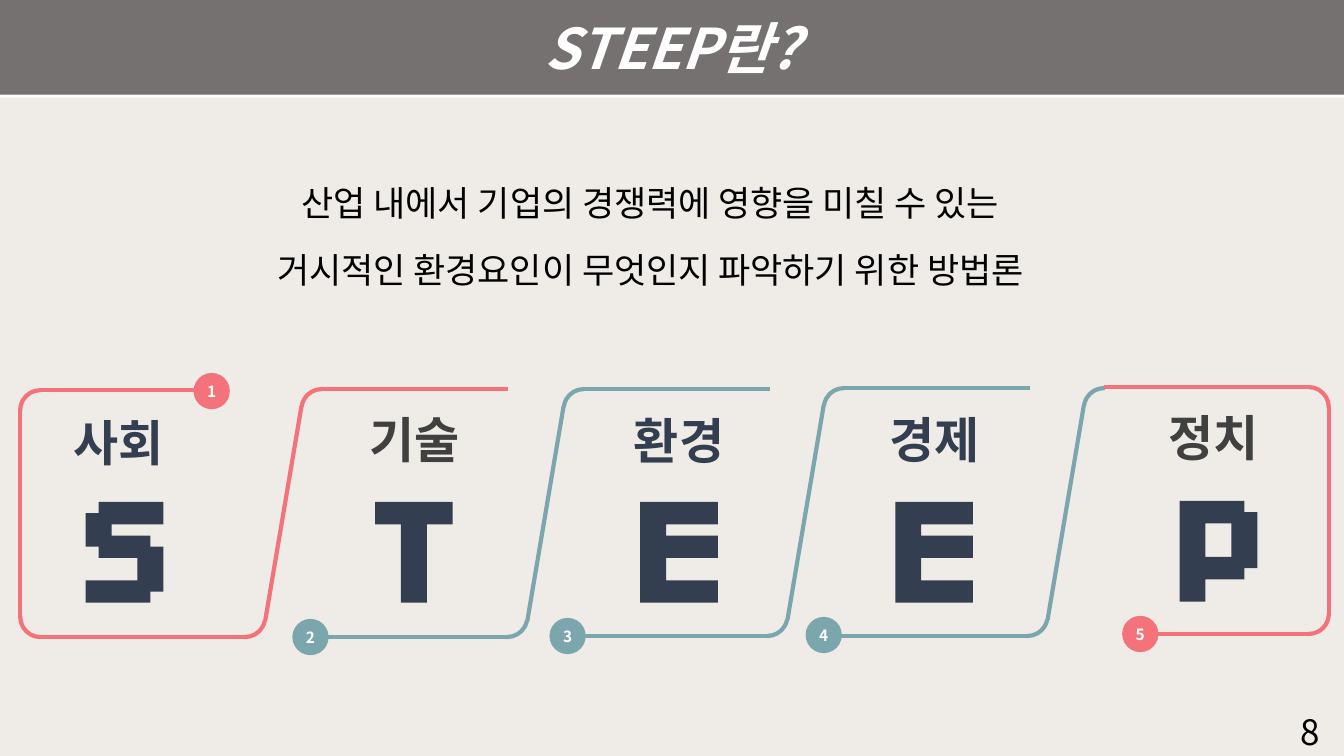
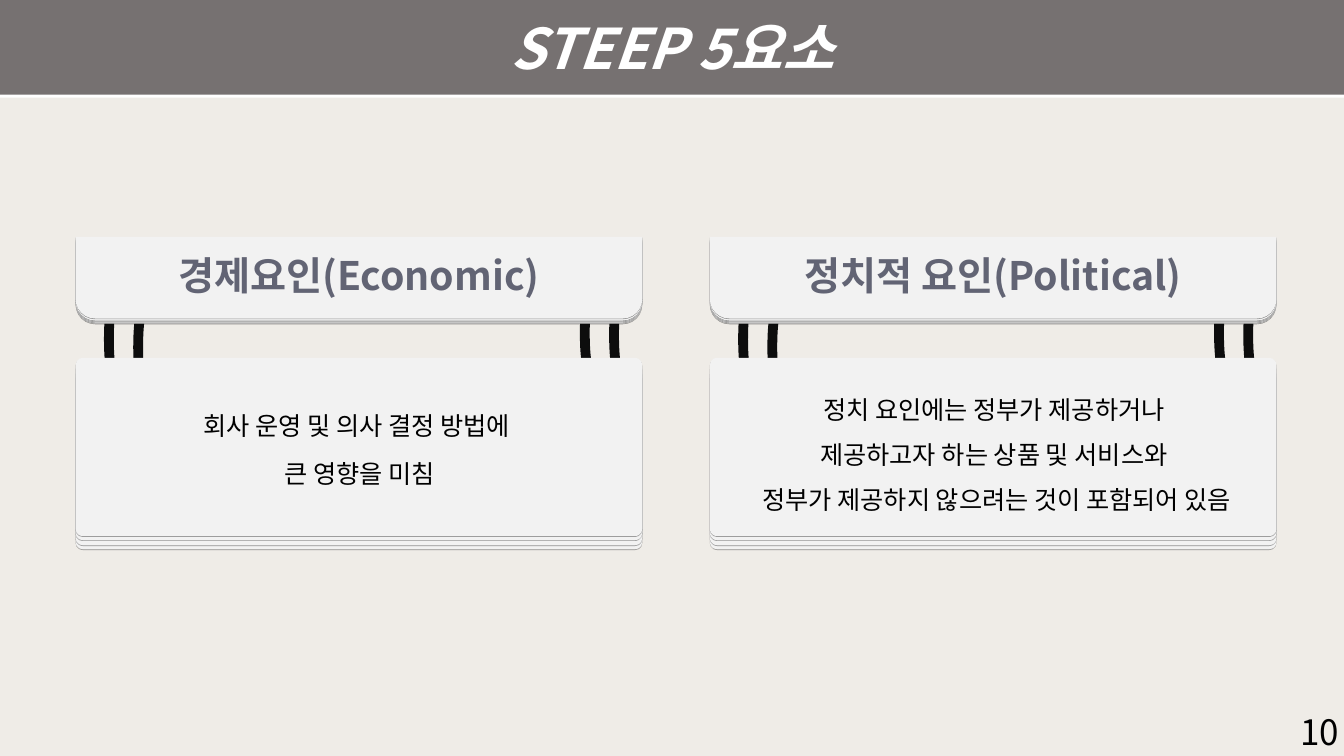
import lxml.etree
import pptx
import pptx.dml.color
import pptx.enum.shapes
import pptx.enum.text
import pptx.oxml.ns
import pptx.util

Inches = pptx.util.Inches
Pt = pptx.util.Pt
RGBColor = pptx.dml.color.RGBColor
Preset = pptx.enum.shapes.MSO_SHAPE
Align = pptx.enum.text.PP_ALIGN
Anchor = pptx.enum.text.MSO_ANCHOR
qn = pptx.oxml.ns.qn

BACKGROUND = RGBColor(0xEF, 0xEC, 0xE7)
BAND = RGBColor(0x76, 0x71, 0x71)
WHITE = RGBColor(0xFF, 0xFF, 0xFF)
BLACK = RGBColor(0x00, 0x00, 0x00)
CORAL = RGBColor(0xF4, 0x72, 0x79)
TEAL = RGBColor(0x7C, 0xA6, 0xAD)
NAVY = RGBColor(0x33, 0x3F, 0x50)
CHARCOAL = RGBColor(0x40, 0x40, 0x40)
CARD = RGBColor(0xF2, 0xF2, 0xF2)
CARD_TITLE = RGBColor(0x62, 0x64, 0x74)
HOOK = RGBColor(0x0D, 0x0D, 0x0D)

FONT = "Noto Sans CJK KR"
TITLE_STYLE = {"size": Pt(40), "bold": True, "italic": True}
BADGE_STYLE = {"size": Pt(11), "bold": True}
LABEL_STYLE = {"size": Pt(35), "bold": True}
CARD_TITLE_STYLE = {"size": Pt(28), "bold": True}
LARGE_STYLE = {"size": Pt(25)}
BODY_STYLE = {"size": Pt(18)}

CORNER_SIZE = 0.4
BADGE_SIZE = 0.36
CARD_WIDTH = 5.62

# Letter outlines on a grid of 6 columns and 9 rows
LETTER_WIDTH, LETTER_HEIGHT = 0.77, 1
LETTERS = {
    "S": [[(6, 2), (2, 2), (2, 3), (5, 3), (5, 4), (6, 4), (6, 8), (5, 8), (5, 9), (0, 9),
           (0, 7), (4, 7), (4, 5), (1, 5), (1, 4), (0, 4), (0, 1), (1, 1), (1, 0), (6, 0)]],
    "T": [[(0, 0), (6, 0), (6, 2), (4, 2), (4, 9), (2, 9), (2, 2), (0, 2)]],
    "E": [[(6, 2), (2, 2), (2, 3), (6, 3), (6, 5), (2, 5), (2, 7), (6, 7), (6, 9), (0, 9),
           (0, 0), (6, 0)]],
    "P": [[(5, 1), (6, 1), (6, 6), (5, 6), (5, 7), (2, 7), (2, 9), (0, 9), (0, 0), (5, 0)],
          [(4, 5), (4, 2), (2, 2), (2, 5)]],
}


def write_text(shape, lines, style, color, align=Align.CENTER, spacing=None,
               anchor=Anchor.MIDDLE):
    frame = shape.text_frame
    frame.word_wrap = True
    frame.vertical_anchor = anchor
    for index, line in enumerate(lines):
        paragraph = frame.paragraphs[0] if index == 0 else frame.add_paragraph()
        paragraph.alignment = align
        paragraph.line_spacing = spacing
        run = paragraph.add_run()
        run.text = line
        for name, value in style.items():
            setattr(run.font, name, value)
        run.font.color.rgb = color
        run.font.name = FONT
        properties = run._r.get_or_add_rPr()
        lxml.etree.SubElement(properties, qn("a:ea"), typeface=FONT)


def add_text(slide, left, top, width, height, lines, style, color=BLACK, **layout):
    box = slide.shapes.add_textbox(Inches(left), Inches(top), Inches(width), Inches(height))
    write_text(box, lines, style, color, **layout)


def paint(shape, color):
    shape.shadow.inherit = False
    shape.fill.solid()
    shape.fill.fore_color.rgb = color
    shape.line.fill.background()


def add_preset(slide, preset, left, top, width, height, adjustments=()):
    shape = slide.shapes.add_shape(
        preset, Inches(left), Inches(top), Inches(width), Inches(height))
    for index, value in enumerate(adjustments):
        shape.adjustments[index] = value
    return shape


def add_filled(slide, preset, left, top, width, height, color, adjustments=()):
    shape = add_preset(slide, preset, left, top, width, height, adjustments)
    paint(shape, color)
    return shape


def drop_shadow(shape, color, opacity, distance):
    """Cast a sharp shadow straight down; opacity is a percentage."""
    effects = shape._element.spPr.find(qn("a:effectLst"))
    shadow = lxml.etree.SubElement(
        effects, qn("a:outerShdw"), blurRad="0", dist=str(Pt(distance)),
        dir="5400000", algn="t", rotWithShape="0")
    tone = lxml.etree.SubElement(shadow, qn("a:srgbClr"), val=str(color))
    lxml.etree.SubElement(tone, qn("a:alpha"), val=str(opacity * 1000))


def add_arc(slide, left, top, width, height, color, weight, adjustments, rotation=0):
    arc = add_preset(slide, Preset.ARC, left, top, width, height, adjustments)
    arc.rotation = rotation
    arc.shadow.inherit = False
    arc.fill.background()
    arc.line.color.rgb = color
    arc.line.width = Pt(weight)


def add_corner(slide, left, top, color, rotation, adjustments=(162, 1.17)):
    add_arc(slide, left, top, CORNER_SIZE, CORNER_SIZE, color, 3, adjustments, rotation)


def add_line(slide, start, end, color):
    line = slide.shapes.add_connector(
        pptx.enum.shapes.MSO_CONNECTOR.STRAIGHT,
        *(Inches(value) for value in (*start, *end)))
    line.line.color.rgb = color
    line.line.width = Pt(3)
    lxml.etree.SubElement(line._element.spPr, qn("a:effectLst"))


def add_slanted_border(slide, left, bottom, color, with_top=True):
    """Join a bottom edge ending at left to the next top edge by a slant."""
    top = bottom - 2.46
    next_left = left + 0.56
    add_line(slide, (left - 2.03, bottom), (left, bottom), color)
    add_corner(slide, left - 0.2, bottom - CORNER_SIZE, color, 90, (168.61, 1.46))
    add_line(slide, (left + 0.2, bottom - 0.16), (next_left, top + 0.17), color)
    add_corner(slide, next_left, top, color, 270, (166.35, 1.26))
    if with_top:
        add_line(slide, (next_left + 0.2, top), (next_left + 2.05, top), color)


def add_outer_borders(slide):
    add_corner(slide, 0.2, 3.87, CORAL, 270)
    add_line(slide, (0.4, 3.87), (2.01, 3.87), CORAL)
    add_line(slide, (0.2, 4.07), (0.2, 6.11), CORAL)
    add_corner(slide, 0.2, 5.92, CORAL, 180)
    add_corner(slide, 12.78, 5.89, CORAL, 90)
    add_line(slide, (12.98, 6.29), (11.37, 6.29), CORAL)
    add_line(slide, (13.18, 6.1), (13.18, 4.05), CORAL)
    add_corner(slide, 12.78, 3.84, CORAL, 0)
    add_line(slide, (12.98, 3.84), (10.95, 3.84), CORAL)


def add_badge(slide, left, top, number, color):
    badge = add_filled(slide, Preset.OVAL, left, top, BADGE_SIZE, BADGE_SIZE, color)
    frame = badge.text_frame
    for side in ("left", "right", "top", "bottom"):
        setattr(frame, f"margin_{side}", 0)
    write_text(badge, [str(number)], BADGE_STYLE, WHITE)


def add_letter(slide, letter, left, top):
    def place(point):
        column, row = point
        return (Inches(left + column * LETTER_WIDTH / 6),
                Inches(top + row * LETTER_HEIGHT / 9))

    outline, *holes = LETTERS[letter]
    builder = slide.shapes.build_freeform(*place(outline[0]))
    builder.add_line_segments([place(point) for point in outline[1:]], close=True)
    for hole in holes:
        builder.move_to(*place(hole[0]))
        builder.add_line_segments([place(point) for point in hole[1:]], close=True)
    paint(builder.convert_to_shape(), NAVY)


def add_card(slide, left, title, lines, text_box, spacing):
    """Hang a stacked body panel below a stacked title panel."""
    for offset, top in ((5.34, 2.96), (5.05, 2.94), (0.62, 3.08), (0.33, 3)):
        add_arc(slide, left + offset, top, 0.09, 0.73, HOOK, 7, (51.7, 162.77))
    stacks = (
        ((3.68, 3.64, 3.59, 3.55), 1.77, (0.04, 0.04)),
        ((2.4, 2.39, 2.38, 2.37, 2.35), 0.81, (0, 0.24)),
    )
    for tops, height, adjustments in stacks:
        for top in tops:
            panel = add_filled(slide, Preset.ROUND_2_SAME_RECTANGLE, left, top,
                               CARD_WIDTH, height, CARD, adjustments)
            drop_shadow(panel, BLACK, 40, 0.5)
    write_text(panel, [title], CARD_TITLE_STYLE, CARD_TITLE)
    add_text(slide, *text_box, lines, BODY_STYLE, spacing=spacing, anchor=Anchor.TOP)


def start_slide(presentation, title, page_number):
    slide = presentation.slides.add_slide(presentation.slide_layouts[6])
    slide.background.fill.solid()
    slide.background.fill.fore_color.rgb = BACKGROUND
    band = add_filled(slide, Preset.RECTANGLE, 0, 0, 13.33, 0.94, BAND)
    drop_shadow(band, WHITE, 100, 2)
    write_text(band, [title], TITLE_STYLE, WHITE)
    add_text(slide, 12.8, 7.06, 0.82, 0.4, [str(page_number)], LARGE_STYLE,
             align=Align.LEFT)
    return slide


def build_definition(presentation):
    slide = start_slide(presentation, "STEEP란?", 8)
    add_text(slide, 0.23, 1.5, 12.52, 1.36,
             ["산업 내에서 기업의 경쟁력에 영향을 미칠 수 있는 ",
              "거시적인 환경요인이 무엇인지 파악하기 위한 방법론 "],
             LARGE_STYLE, spacing=1.6, anchor=Anchor.TOP)

    add_slanted_border(slide, 2.43, 6.32, CORAL)
    add_slanted_border(slide, 5.03, 6.32, TEAL)
    add_slanted_border(slide, 7.61, 6.31, TEAL)
    add_slanted_border(slide, 10.19, 6.31, TEAL, with_top=False)
    add_outer_borders(slide)

    badges = ((1.92, 3.7, CORAL), (2.9, 6.14, TEAL), (5.45, 6.13, TEAL),
              (7.99, 6.12, TEAL), (11.13, 6.11, CORAL))
    for number, (left, top, color) in enumerate(badges, start=1):
        add_badge(slide, left, top, number, color)

    factors = (
        ("사회", NAVY, -0.67, 3.75, "S", 0.85, 4.98),
        ("기술", CHARCOAL, 2.27, 3.72, "T", 3.72, 4.98),
        ("환경", NAVY, 4.89, 3.73, "E", 6.35, 4.98),
        ("경제", NAVY, 7.42, 3.72, "E", 8.88, 4.98),
        ("정치", CHARCOAL, 10.19, 3.7, "P", 11.7, 4.97),
    )
    for label, color, label_left, label_top, letter, left, top in factors:
        add_text(slide, label_left, label_top, 3.69, 1.11, [label], LABEL_STYLE, color,
                 spacing=1.5, anchor=Anchor.TOP)
        add_letter(slide, letter, left, top)


def build_factor_cards(presentation):
    slide = start_slide(presentation, "STEEP 5요소", 10)
    add_card(slide, 7.04, "정치적 요인(Political)",
             ["정치 요인에는 정부가 제공하거나 ",
              "제공하고자 하는 상품 및 서비스와 ",
              "정부가 제공하지 않으려는 것이 포함되어 있음"],
             (6.48, 3.71, 6.81, 1.41), 1.5)
    add_card(slide, 0.75, "경제요인(Economic)",
             ["회사 운영 및 의사 결정 방법에 ", "큰 영향을 미침"],
             (1.25, 3.84, 4.63, 1.01), 1.6)


def main():
    presentation = pptx.Presentation()
    presentation.slide_width = Inches(13.33)
    presentation.slide_height = Inches(7.5)
    build_definition(presentation)
    build_factor_cards(presentation)
    presentation.save("out.pptx")


if __name__ == "__main__":
    main()
